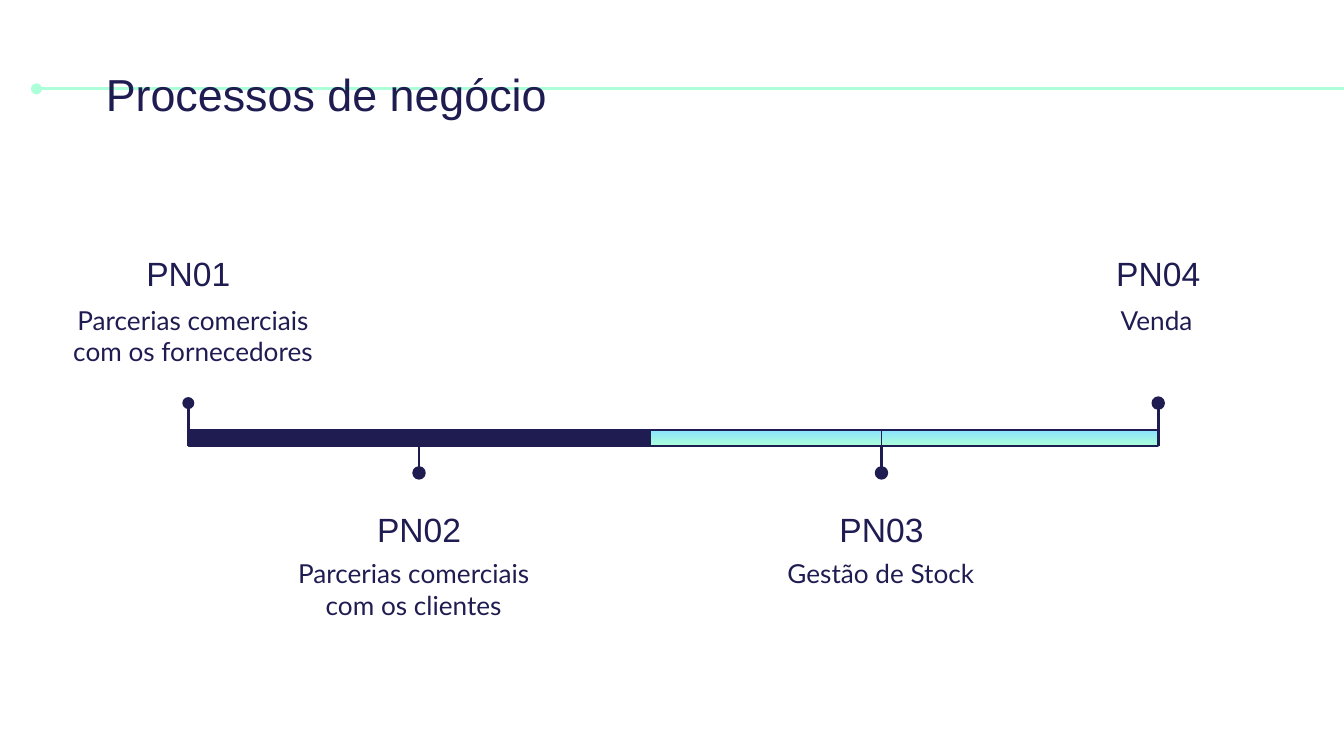
from dataclasses import dataclass

from lxml import etree
from pptx import Presentation
from pptx.dml.color import RGBColor
from pptx.enum import shapes, text
from pptx.oxml import ns
from pptx.util import Cm, Pt


@dataclass(frozen=True)
class Theme:
    navy = RGBColor.from_string("1F1C51")
    sky = RGBColor.from_string("8BE3FF")
    mint = RGBColor.from_string("ACFFD9")
    heading_font = "Arial"
    body_font = "Lato"
    title_size = Pt(24)
    code_size = Pt(18)
    body_size = Pt(14)
    thin = Pt(0.75)
    thick = Pt(1.5)


theme = Theme()
prs = Presentation()
prs.slide_width, prs.slide_height = Cm(25.4), Cm(14.29)
slide = prs.slides.add_slide(prs.slide_layouts[6])


def add_rule(x1, y1, x2, y2, color):
    rule = slide.shapes.add_connector(
        shapes.MSO_CONNECTOR.STRAIGHT, Cm(x1), Cm(y1), Cm(x2), Cm(y2))
    rule.line.color.rgb = color
    rule.line.width = theme.thick
    etree.SubElement(rule._element.spPr, ns.qn("a:effectLst"))
    return rule


def add_label(words, left, top, width, font, size, align=text.PP_ALIGN.CENTER):
    box = slide.shapes.add_textbox(Cm(left), Cm(top), Cm(width), Cm(1.5))
    frame = box.text_frame
    frame.word_wrap = True
    frame.margin_left = frame.margin_right = Cm(0.25)
    frame.margin_top = frame.margin_bottom = Cm(0.25)
    paragraph = frame.paragraphs[0]
    paragraph.text = words
    paragraph.alignment = align
    paragraph.font.name = font
    paragraph.font.size = size
    paragraph.font.color.rgb = theme.navy


# Heading with its rule
header_rule = add_rule(0.69, 1.68, 25.4, 1.68, theme.mint)
etree.SubElement(header_rule.line._get_or_add_ln(), ns.qn("a:headEnd"), type="oval")
add_label("Processos de negócio", 1.75, 1.01, 16.9, theme.heading_font,
          theme.title_size, text.PP_ALIGN.LEFT)

# Processes: code, description, pin x, above the bar, description centre and width
processes = [
    ("PN01", "Parcerias comerciais com os fornecedores", 3.56, True, 3.65, 5.87),
    ("PN02", "Parcerias comerciais com os clientes", 7.92, False, 7.82, 5.54),
    ("PN03", "Gestão de Stock", 16.66, False, 16.65, 4.1),
    ("PN04", "Venda", 21.89, True, 21.86, 4.1),
]
bar_top, bar_height = 8.13, 0.3
bar_bottom = bar_top + bar_height
pin_reach = 0.81
dot_size = 0.2
code_width = 4.1

for code, description, x, above, centre, width in processes:
    if above:
        pin_base, pin_tip = bar_bottom, bar_bottom - pin_reach
        code_top, description_top = 4.54, 5.5
    else:
        pin_base, pin_tip = bar_top, bar_top + pin_reach
        code_top, description_top = 9.37, 10.29

    add_rule(x, pin_tip, x, pin_base, theme.navy)
    dot = slide.shapes.add_shape(
        shapes.MSO_SHAPE.OVAL, Cm(x - dot_size / 2), Cm(pin_tip - dot_size / 2),
        Cm(dot_size), Cm(dot_size))
    dot.shadow.inherit = False
    dot.fill.solid()
    dot.fill.fore_color.rgb = theme.navy
    dot.line.color.rgb = theme.navy
    dot.line.width = theme.thin if code == "PN01" else theme.thick

    add_label(description, centre - width / 2, description_top, width,
              theme.body_font, theme.body_size)
    add_label(code, x - code_width / 2, code_top, code_width,
              theme.heading_font, theme.code_size)

# Timeline bar: two navy segments, then two gradient ones
bar_stops = [3.56, 7.92, 12.29, 16.66, 21.89]
for index, (start, end) in enumerate(zip(bar_stops, bar_stops[1:])):
    segment = slide.shapes.add_shape(
        shapes.MSO_SHAPE.RECTANGLE, Cm(start), Cm(bar_top),
        Cm(end - start), Cm(bar_height))
    segment.shadow.inherit = False
    segment.line.color.rgb = theme.navy
    segment.line.width = theme.thin
    if index < 2:
        segment.fill.solid()
        segment.fill.fore_color.rgb = theme.navy
    else:
        segment.fill.gradient()
        segment.fill.gradient_angle = 270
        for stop, color in zip(segment.fill.gradient_stops, (theme.sky, theme.mint)):
            stop.color.rgb = color

prs.save("out.pptx")
